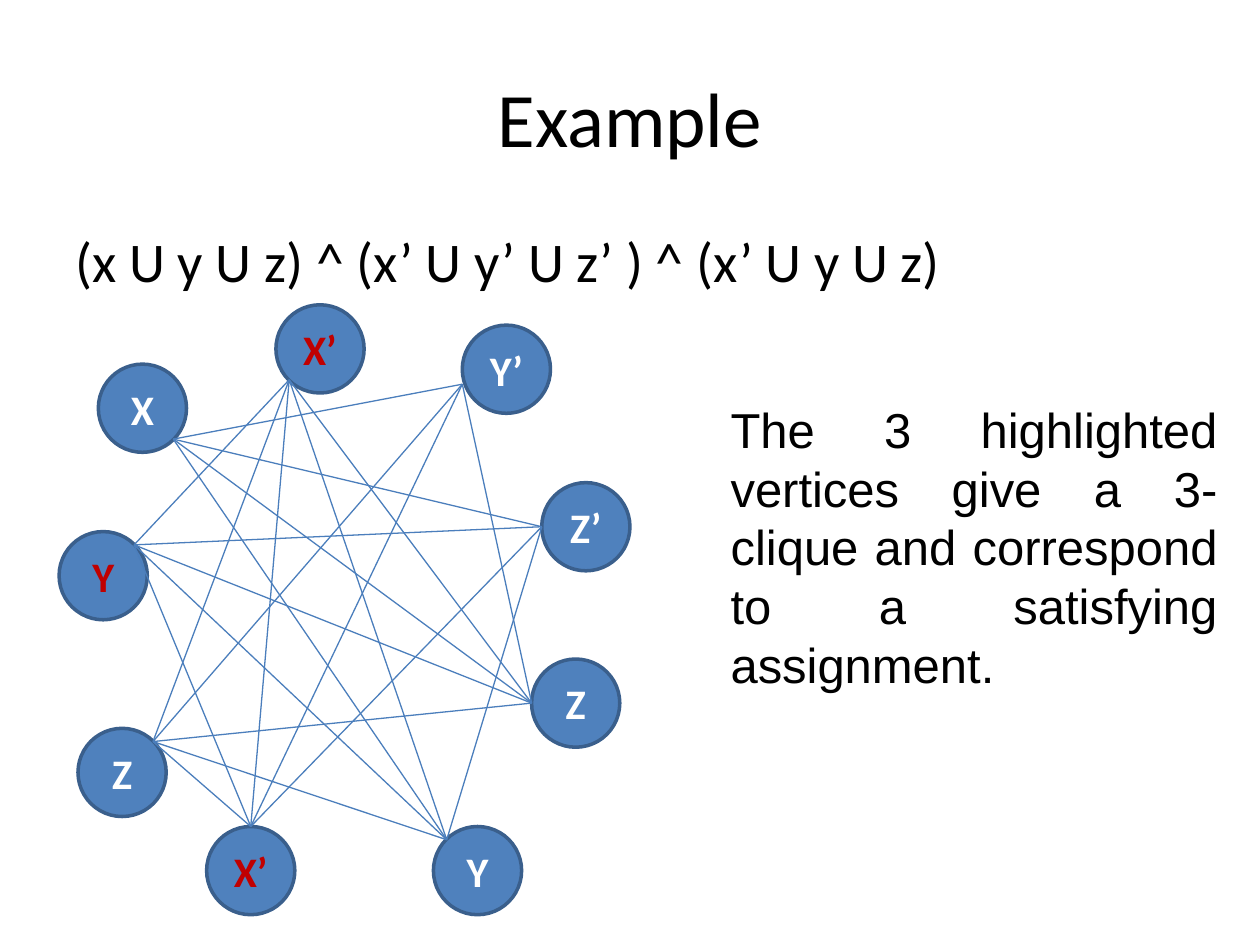
"""Build the slide that shows a 3-SAT formula as a clique graph."""
import itertools

import lxml.etree
import pptx
import pptx.dml.color
import pptx.enum.shapes
import pptx.enum.text
import pptx.oxml.ns
import pptx.util

Pt = pptx.util.Pt
RGBColor = pptx.dml.color.RGBColor
ALIGN = pptx.enum.text.PP_ALIGN
ANCHOR = pptx.enum.text.MSO_ANCHOR

BLACK = RGBColor(0x00, 0x00, 0x00)
WHITE = RGBColor(0xFF, 0xFF, 0xFF)
RED = RGBColor(0xC0, 0x00, 0x00)
BLUE = RGBColor(0x4F, 0x81, 0xBD)
OUTLINE = RGBColor(0x3A, 0x5F, 0x8C)
EDGE = RGBColor(0x4B, 0x7E, 0xBC)

TITLE = "Example"
FORMULA = "(x U y U z) ^ (x’ U y’ U z’ ) ^ (x’ U y U z)"
REMARK = ("The 3 highlighted vertices give a 3-clique and correspond "
          "to a satisfying assignment.")

DIAMETER = 50.4
NEAR, FAR = 0.15, 0.85
CLAUSES = [
    [("X", 56.2, 208.1, (FAR, FAR), WHITE),
     ("Y", 33.8, 303.8, (FAR, NEAR), RED),
     ("Z", 44.6, 416.2, (FAR, NEAR), WHITE)],
    [("X’", 157.7, 174.2, (NEAR, FAR), RED),
     ("Y’", 264.2, 185.8, (0, 0.67), WHITE),
     ("Z’", 309.6, 275.8, (0, 0.5), WHITE)],
    [("X’", 118.1, 472.3, (0.5, 0), RED),
     ("Y", 247.7, 472.3, (NEAR, NEAR), WHITE),
     ("Z", 303.8, 376.6, (0, 0.5), WHITE)],
]


def write(shape, text, size, font, color, align, anchor, bold=False):
    frame = shape.text_frame
    frame.word_wrap = True
    frame.vertical_anchor = anchor
    para = frame.paragraphs[0]
    para.alignment = align
    span = para.add_run()
    span.text = text
    span.font.size = Pt(size)
    span.font.name = font
    span.font.bold = bold
    span.font.color.rgb = color


def add_text(slide, place, *style):
    box = slide.shapes.add_textbox(*map(Pt, place))
    write(box, *style)


def add_vertex(slide, label, left, top, port, color):
    circle = slide.shapes.add_shape(
        pptx.enum.shapes.MSO_SHAPE.OVAL,
        Pt(left), Pt(top), Pt(DIAMETER), Pt(DIAMETER))
    circle.shadow.inherit = False
    circle.fill.solid()
    circle.fill.fore_color.rgb = BLUE
    circle.line.color.rgb = OUTLINE
    circle.line.width = Pt(2)
    write(circle, label, 24, "Calibri", color, ALIGN.CENTER, ANCHOR.MIDDLE, True)


def port_of(vertex):
    label, left, top, (across, down), color = vertex
    return Pt(left + across * DIAMETER), Pt(top + down * DIAMETER)


def contradict(first, second):
    return first != second and first.strip("’") == second.strip("’")


def add_edge(slide, start, end):
    edge = slide.shapes.add_connector(
        pptx.enum.shapes.MSO_CONNECTOR.STRAIGHT, *port_of(start), *port_of(end))
    edge.line.color.rgb = EDGE
    edge.line.width = Pt(0.75)
    lxml.etree.SubElement(edge._element.spPr, pptx.oxml.ns.qn("a:effectLst"))


def main():
    deck = pptx.Presentation()
    deck.slide_width, deck.slide_height = Pt(720), Pt(540)
    slide = deck.slides.add_slide(deck.slide_layouts[6])

    add_text(slide, (36, 21.6, 648, 90), TITLE, 44, "Calibri", BLACK,
             ALIGN.CENTER, ANCHOR.MIDDLE)
    add_text(slide, (36, 126, 543.6, 59.8), FORMULA, 32, "Calibri", BLACK,
             ALIGN.LEFT, ANCHOR.TOP)
    for vertex in itertools.chain.from_iterable(CLAUSES):
        add_vertex(slide, *vertex)
    add_text(slide, (410.4, 224.6, 292.3, 177.1), REMARK, 28, "Arial", BLACK,
             ALIGN.JUSTIFY, ANCHOR.TOP)

    for clause, other in itertools.combinations(CLAUSES, 2):
        for start, end in itertools.product(clause, other):
            if not contradict(start[0], end[0]):
                add_edge(slide, start, end)

    deck.save("out.pptx")


if __name__ == "__main__":
    main()
